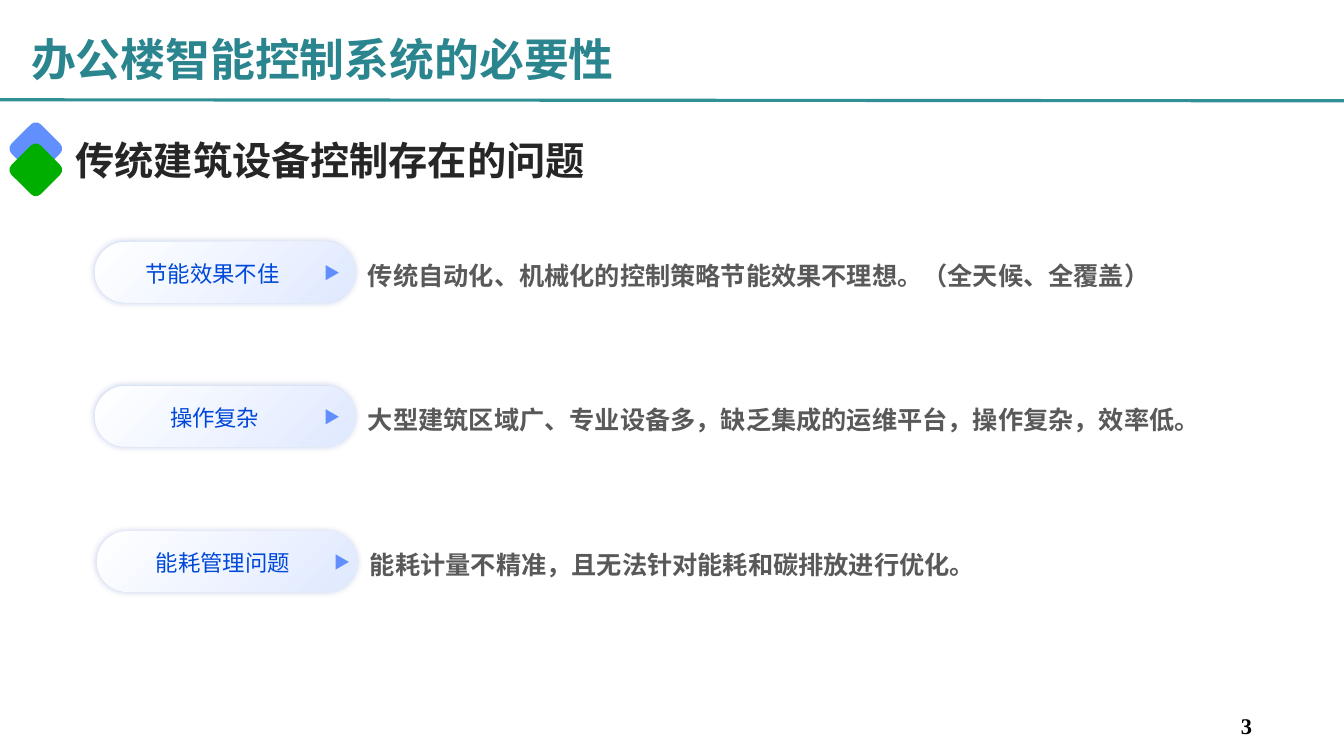
import pptx
import pptx.util
import pptx.dml.color
import pptx.enum.lang
import pptx.enum.shapes
import pptx.enum.text
import pptx.oxml
import pptx.oxml.ns

Inches = pptx.util.Inches
SHAPE = pptx.enum.shapes.MSO_SHAPE
ALIGN = pptx.enum.text.PP_ALIGN
ANCHOR = pptx.enum.text.MSO_ANCHOR
CHINESE = pptx.enum.lang.MSO_LANGUAGE_ID.SIMPLIFIED_CHINESE

TEAL = "319095"
BLUE = "618FFD"
GREEN = "00AE00"

PROBLEMS = [
    (0.94, 2.4, "节能效果不佳", 1.17, 2.28,
     "传统自动化、机械化的控制策略节能效果不理想。（全天候、全覆盖）"),
    (0.94, 3.83, "操作复杂", 1.19, 2.28,
     "大型建筑区域广、专业设备多，缺乏集成的运维平台，操作复杂，效率低。"),
    (0.96, 5.27, "能耗管理问题", 1.25, 2.36,
     "能耗计量不精准，且无法针对能耗和碳排放进行优化。"),
]


def color(value):
    return pptx.dml.color.RGBColor.from_string(value)


def add_text(s, box, text, size, fill, bold=True, align=ALIGN.LEFT,
             anchor=ANCHOR.MIDDLE, font="Arial", wrap=True, insets=(0, 0)):
    tf = s.shapes.add_textbox(*map(Inches, box)).text_frame
    tf.word_wrap = wrap
    tf.vertical_anchor = anchor
    tf.margin_left = tf.margin_right = Inches(insets[0])
    tf.margin_top = tf.margin_bottom = Inches(insets[1])
    p = tf.paragraphs[0]
    p.alignment = align
    r = p.add_run()
    r.text = text
    r.font.name = font
    r.font.size = pptx.util.Pt(size)
    r.font.bold = bold
    r.font.color.rgb = color(fill)
    r.font.language_id = CHINESE


def add_plain_shape(s, kind, box, fill, rotation=0):
    sp = s.shapes.add_shape(kind, *map(Inches, box))
    sp.shadow.inherit = False
    sp.fill.solid()
    sp.fill.fore_color.rgb = color(fill)
    sp.line.fill.background()
    sp.rotation = rotation
    return sp


def add_glow_shadow(sp, fill, alpha, blur):
    effects = sp._element.spPr.find(pptx.oxml.ns.qn("a:effectLst"))
    effects.append(pptx.oxml.parse_xml(
        f'<a:outerShdw {pptx.oxml.ns.nsdecls("a")} blurRad="{pptx.util.Pt(blur)}" '
        f'dist="0" dir="0" algn="ctr" rotWithShape="0"><a:srgbClr val="{fill}">'
        f'<a:alpha val="{alpha * 1000}"/></a:srgbClr></a:outerShdw>'))


def add_header(s, left, top, width, height):
    line = s.shapes.add_connector(
        pptx.enum.shapes.MSO_CONNECTOR.STRAIGHT,
        Inches(left), Inches(top + height - 0.01),
        Inches(left + width), Inches(top + height))
    line.line.color.rgb = color(TEAL)
    line.line.width = pptx.util.Pt(2.25)
    line._element.spPr.append(pptx.oxml.parse_xml(
        f'<a:effectLst {pptx.oxml.ns.nsdecls("a")}/>'))
    add_text(s, (left + 0.21, top + 0.17, width - 0.4, height - 0.17),
             "办公楼智能控制系统的必要性", 32, "2A858F", insets=(0.1, 0.05))


def add_section_heading(s, left, top, width):
    for offset, fill in ((0, BLUE), (0.21, GREEN)):
        add_plain_shape(s, SHAPE.ROUNDED_RECTANGLE,
                        (left, top + offset, 0.41, 0.41), fill, 45)
    add_text(s, (left + 0.6, top + 0.06, width - 0.6, 0.51),
             "传统建筑设备控制存在的问题", 28, "262626")


def add_problem(s, left, top, label, label_center, arrow_offset, detail):
    pill = add_plain_shape(s, SHAPE.ROUNDED_RECTANGLE, (left, top, 2.58, 0.6), "FFFFFF")
    pill.adjustments[0] = 0.5
    pill.fill.gradient()
    pill.fill.gradient_angle = 315
    for stop, position, fill in zip(pill.fill.gradient_stops, (0, 1), ("FFFFFF", "DFE9FF")):
        stop.position = position
        stop.color.rgb = color(fill)
    add_glow_shadow(pill, "0234AD", 25, 5)
    add_text(s, (left + label_center - 1.1, top + 0.09, 2.2, 0.44),
             label, 16, "0048D8", bold=False, align=ALIGN.CENTER)
    add_plain_shape(s, SHAPE.ISOSCELES_TRIANGLE,
                    (left + arrow_offset, top + 0.24, 0.15, 0.13), BLUE, 90)
    add_text(s, (left + 2.71, top - 0.16, 8.57, 0.98), detail, 18, "595959")


def add_page_number(s, left, top, number):
    add_text(s, (left, top, 0.31, 0.37), number, 16, "000000", anchor=ANCHOR.TOP,
             font="Times New Roman", wrap=False, insets=(0.1, 0.05))


def main():
    prs = pptx.Presentation()
    prs.slide_width = Inches(13.33)
    prs.slide_height = Inches(7.5)
    s = prs.slides.add_slide(prs.slide_layouts[6])
    add_page_number(s, 12.21, 7.02, "3")
    add_header(s, 0, 0, 13.33, 1)
    for problem in PROBLEMS:
        add_problem(s, *problem)
    add_section_heading(s, 0.15, 1.27, 12.27)
    prs.save("out.pptx")


if __name__ == "__main__":
    main()
